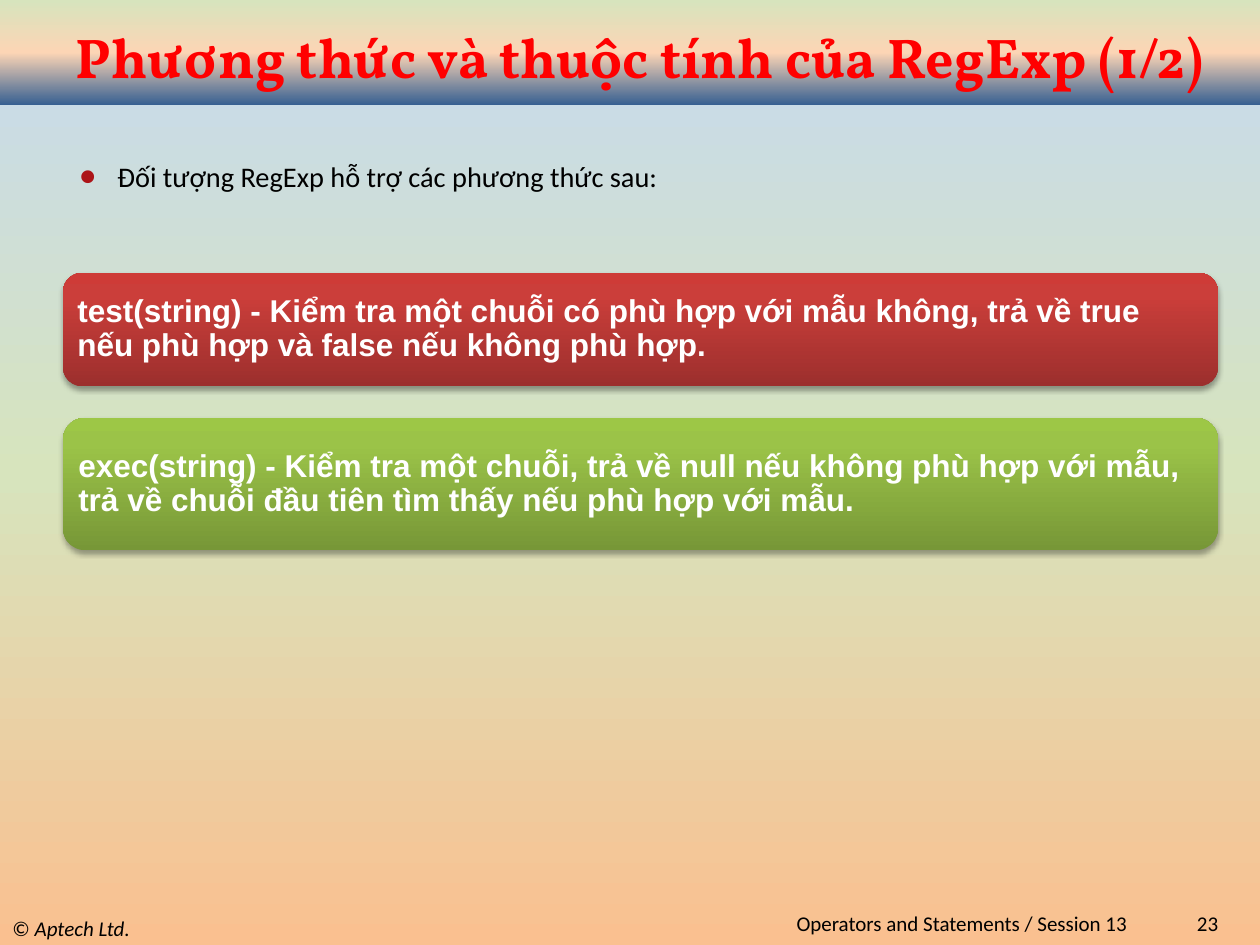
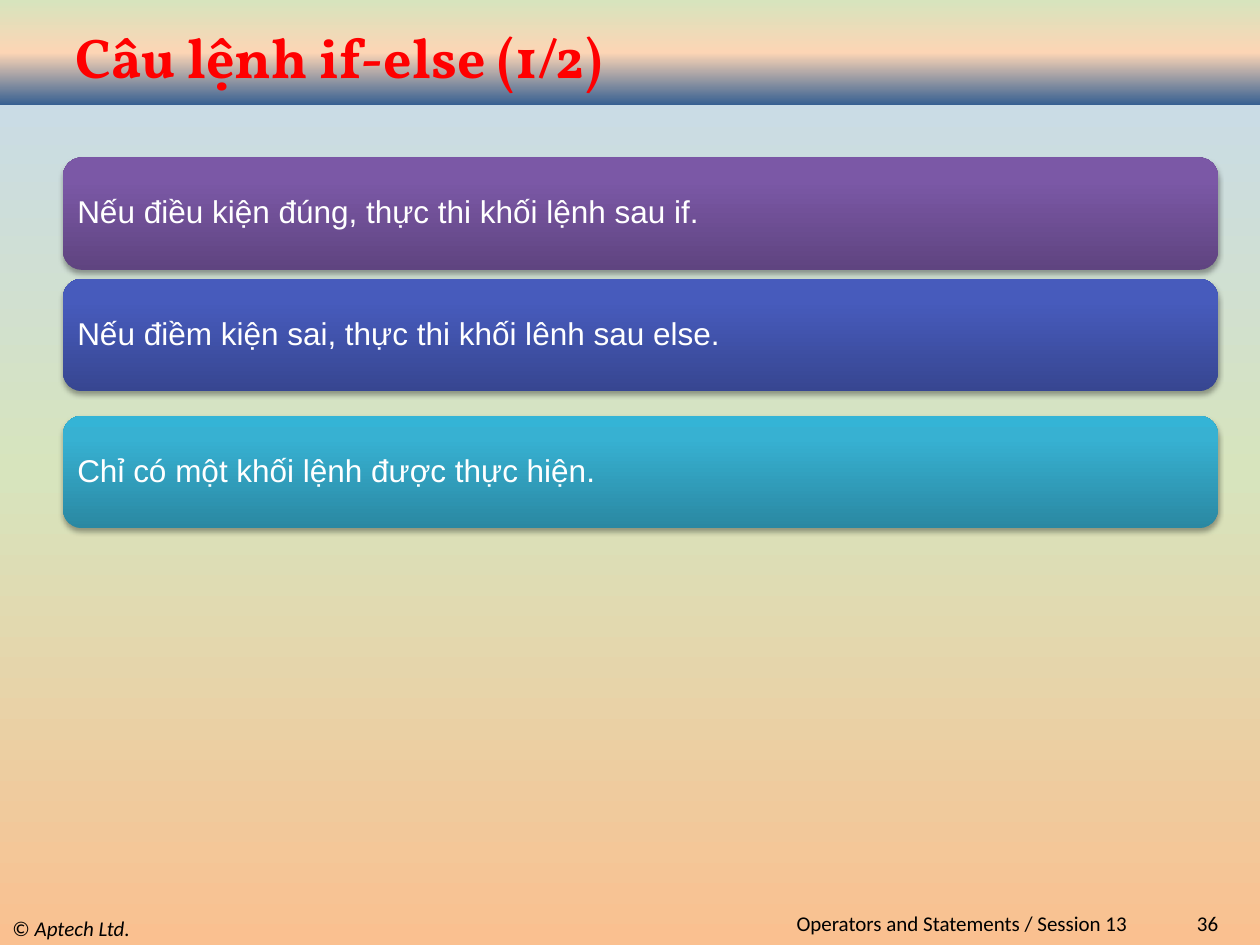
from lxml.etree import SubElement
from pptx import Presentation
from pptx.dml.color import RGBColor
from pptx.enum.shapes import MSO_SHAPE
from pptx.enum.text import MSO_ANCHOR, MSO_AUTO_SIZE, PP_ALIGN
from pptx.oxml.ns import qn
from pptx.util import Inches, Pt

HUES = {
    "ink": "000000",
    "white": "FFFFFF",
    "title": "FF0000",
    "dot": "AC1418",
}
FADES = {
    "page": {0: "FAC090", 50: "D7E4BD", 100: "C6D9F1"},
    "band": {0: "376092", 50: "FCD5B5", 100: "D7E4BD"},
    "red": {0: "9C2F2D", 80: "CB3E3A", 100: "CE3B37"},
    "green": {0: "779737", 80: "9BC348", 100: "9DC746"},
    "plum": {0: "5F4480", 80: "7B58A6", 100: "7C57A8"},
    "blue": {0: "374691", 80: "475BBC", 100: "455ABF"},
    "teal": {0: "2A88A2", 80: "37B1D2", 100: "34B4D6"},
}
COLS, ROWS = 120, 90


class Deck:
    def __init__(self):
        self.prs = Presentation()
        self.prs.slide_width = Inches(10)
        self.prs.slide_height = Inches(7.5)
        self.plan = self.prs.slide_layouts[5]
        self.fade(self.plan.background.fill, self.plan.element, "page")
        self.slide = None

    def grid(self, left, top, width, height):
        col = self.prs.slide_width / COLS
        row = self.prs.slide_height / ROWS
        return [round(n) for n in (left * col, top * row, width * col, height * row)]

    def fade(self, fill, root, name):
        fill.gradient()
        fill.gradient_angle = 90
        stops = root.find(".//" + qn("a:gsLst"))
        stops.clear()
        for spot, hue in FADES[name].items():
            stop = SubElement(stops, qn("a:gs"), pos=str(spot * 1000))
            SubElement(stop, qn("a:srgbClr"), val=hue)

    def style(self, part, size, face="Calibri", hue="ink", bold=False):
        font = part.font
        font.size = Pt(size)
        font.name = face
        font.bold = bold
        font.color.rgb = RGBColor.from_string(HUES[hue])

    def words(self, shape, text, align=PP_ALIGN.LEFT, anchor=MSO_ANCHOR.MIDDLE, **look):
        frame = shape.text_frame
        frame.text = text
        frame.word_wrap = True
        frame.auto_size = MSO_AUTO_SIZE.NONE
        frame.vertical_anchor = anchor
        para = frame.paragraphs[0]
        para.alignment = align
        self.style(para.runs[0], **look)
        return para

    def label(self, text, spot, **look):
        box = self.slide.shapes.add_textbox(*self.grid(*spot))
        return self.words(box, text, **look)

    def block(self, kind, spot, name):
        shape = self.slide.shapes.add_shape(kind, *self.grid(*spot))
        shape.shadow.inherit = False
        shape.line.fill.background()
        self.fade(shape.fill, shape.element, name)
        return shape

    def page(self, title, number):
        self.slide = self.prs.slides.add_slide(self.plan)
        band = self.block(MSO_SHAPE.RECTANGLE, (0, 0, COLS, 10), "band")
        head = self.slide.shapes.title
        band.element.addnext(head.element)
        head.left, head.top, head.width, head.height = self.grid(6, 2.6, 112, 5.4)
        self.words(head, title, size=32, face="Vollkorn", hue="title", bold=True)
        owner = self.label("© ", (0, 86.8, 40, 3.2), size=12).add_run()
        owner.text = "Aptech Ltd."
        self.style(owner, 12)
        owner.font.italic = True
        right = PP_ALIGN.RIGHT
        self.label(str(number), (107, 86.8, 10.2, 2.2), align=right, size=12)
        self.label("Operators and Statements / Session 13 ", (30, 86.8, 79, 2.2),
                   align=right, size=12)

    def point(self, text, top):
        para = self.label(text, (4, top, 112, 5), align=PP_ALIGN.JUSTIFY,
                          anchor=MSO_ANCHOR.TOP, size=28)
        props = para._p.get_or_add_pPr()
        props.set("marL", str(Inches(0.5)))
        props.set("indent", str(Inches(-0.3)))
        hue = SubElement(props, qn("a:buClr"))
        SubElement(hue, qn("a:srgbClr"), val=HUES["dot"])
        SubElement(props, qn("a:buChar"), char="•")
        para.runs[0].font._element.set("baseline", "30000")

    def card(self, text, top, height, name, bold=False):
        shape = self.block(MSO_SHAPE.ROUNDED_RECTANGLE, (6, top, 110, height), name)
        glow = shape.element.spPr.find(qn("a:effectLst"))
        shade = SubElement(glow, qn("a:outerShdw"), blurRad=str(Pt(3.1)),
                           dist=str(Pt(1.8)), dir="5400000", rotWithShape="0")
        tint = SubElement(shade, qn("a:srgbClr"), val=HUES["ink"])
        SubElement(tint, qn("a:alpha"), val="35000")
        frame = shape.text_frame
        frame.margin_left = frame.margin_right = Inches(0.07)
        frame.margin_top = frame.margin_bottom = Inches(0.07)
        para = self.words(shape, text, size=18, face="Arial", hue="white", bold=bold)
        para.line_spacing = 0.9


def main():
    deck = Deck()

    deck.page("Phương thức và thuộc tính của RegExp (1/2)", 23)
    deck.card("test(string) - Kiểm tra một chuỗi có phù hợp với mẫu không, "
              "trả về true nếu phù hợp và false nếu không phù hợp.",
              26, 10.8, "red", bold=True)
    deck.card("exec(string) - Kiểm tra một chuỗi, trả về null nếu không phù hợp với mẫu, "
              "trả về chuỗi đầu tiên tìm thấy nếu phù hợp với mẫu.",
              39.8, 12.6, "green", bold=True)
    deck.point("Đối tượng RegExp hỗ trợ các phương thức sau:", 14)

    deck.page("Câu lệnh if-else (1/2)", 36)
    for text, top, name in (
        ("Nếu điều kiện đúng, thực thi khối lệnh sau if.", 15, "plum"),
        ("Nếu điềm kiện sai, thực thi khối lênh sau else.", 26.55, "blue"),
        ("Chỉ có một khối lệnh được thực hiện.", 39.6, "teal"),
    ):
        deck.card(text, top, 10.7, name)

    deck.prs.save("out.pptx")


if __name__ == "__main__":
    main()
